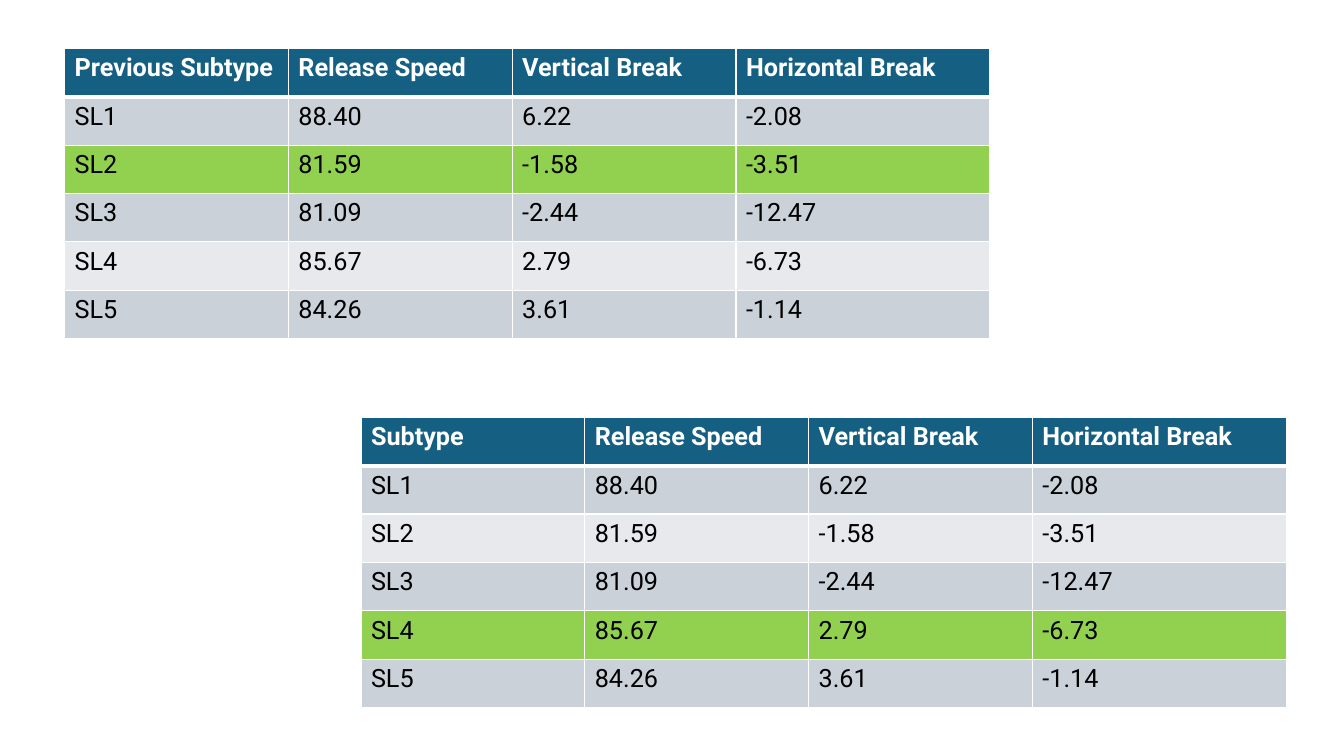
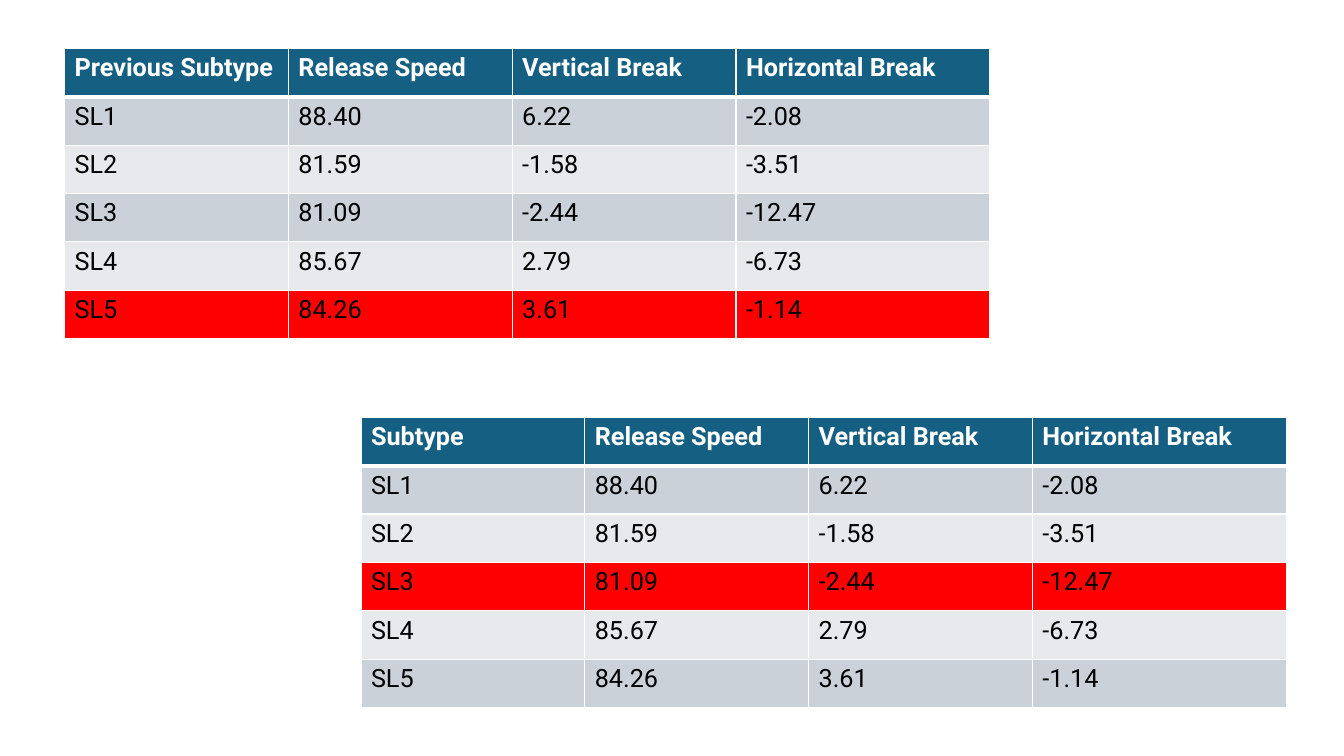
from lxml import etree
from pptx import Presentation
from pptx import util as u
from pptx.dml.color import RGBColor
from pptx.oxml import ns

PX = 9144  # EMU in one px, 100 px to the inch

WHITE = RGBColor(0xFF, 0xFF, 0xFF)
BLACK = RGBColor(0x00, 0x00, 0x00)
HEADER = RGBColor(0x15, 0x60, 0x82)
BANDS = (RGBColor(0xCA, 0xD1, 0xD8), RGBColor(0xE7, 0xE9, 0xEC))
GREEN = RGBColor(0x92, 0xD0, 0x50)
RED = RGBColor(0xFF, 0x00, 0x00)

FONT = "Roboto"
COL_WIDTHS = (222, 222, 222, 252)
ROW_HEIGHT = 48
PREVIOUS_AT = (64, 48)
CURRENT_AT = (358, 414)

MEASURES = ("Release Speed", "Vertical Break", "Horizontal Break")
SUBTYPES = (
    ("SL1", "88.40", "6.22", "-2.08"),
    ("SL2", "81.59", "-1.58", "-3.51"),
    ("SL3", "81.09", "-2.44", "-12.47"),
    ("SL4", "85.67", "2.79", "-6.73"),
    ("SL5", "84.26", "3.61", "-1.14"),
)

# Highlight colour, previous subtype, current subtype
SLIDES = (
    (GREEN, "SL2", "SL4"),
    (RED, "SL5", "SL3"),
)


def px(n):
    return u.Emu(n * PX)


def set_borders(cell, **widths):
    """Draw white borders; widths in points by side (L, R, T, B)."""
    tc_pr = cell._tc.get_or_add_tcPr()
    for i, side in enumerate("LRTB"):
        ln = etree.Element(ns.qn(f"a:ln{side}"), w=str(u.Pt(widths.get(side, 1))))
        fill = etree.SubElement(ln, ns.qn("a:solidFill"))
        etree.SubElement(fill, ns.qn("a:srgbClr"), val=str(WHITE))
        tc_pr.insert(i, ln)


def style_cell(cell, value, fill, color, bold=False):
    cell.text = value
    cell.fill.solid()
    cell.fill.fore_color.rgb = fill
    font = cell.text_frame.paragraphs[0].font
    font.name = FONT
    font.size = u.Pt(18)
    font.bold = bold
    font.color.rgb = color


def add_subtype_table(slide, at, heading, marked, highlight):
    rows = ((heading, *MEASURES), *SUBTYPES)
    left, top = at
    table = slide.shapes.add_table(
        len(rows), len(COL_WIDTHS), px(left), px(top),
        px(sum(COL_WIDTHS)), px(ROW_HEIGHT * len(rows))).table
    table.horz_banding = False
    for column, width in zip(table.columns, COL_WIDTHS):
        column.width = px(width)
    for i, values in enumerate(rows):
        table.rows[i].height = px(ROW_HEIGHT)
        fill = highlight if values[0] == marked else BANDS[(i - 1) % 2]
        for cell, value in zip(table.rows[i].cells, values):
            if i == 0:
                style_cell(cell, value, HEADER, WHITE, bold=True)
                set_borders(cell, B=3)
            else:
                style_cell(cell, value, fill, BLACK)
                set_borders(cell, T=3 if i == 1 else 1)


def main():
    prs = Presentation()
    prs.slide_width, prs.slide_height = px(1333), px(750)
    blank = prs.slide_layouts[6]
    for highlight, previous, current in SLIDES:
        slide = prs.slides.add_slide(blank)
        add_subtype_table(slide, PREVIOUS_AT, "Previous Subtype", previous, highlight)
        add_subtype_table(slide, CURRENT_AT, "Subtype", current, highlight)
    prs.save("out.pptx")


if __name__ == "__main__":
    main()
